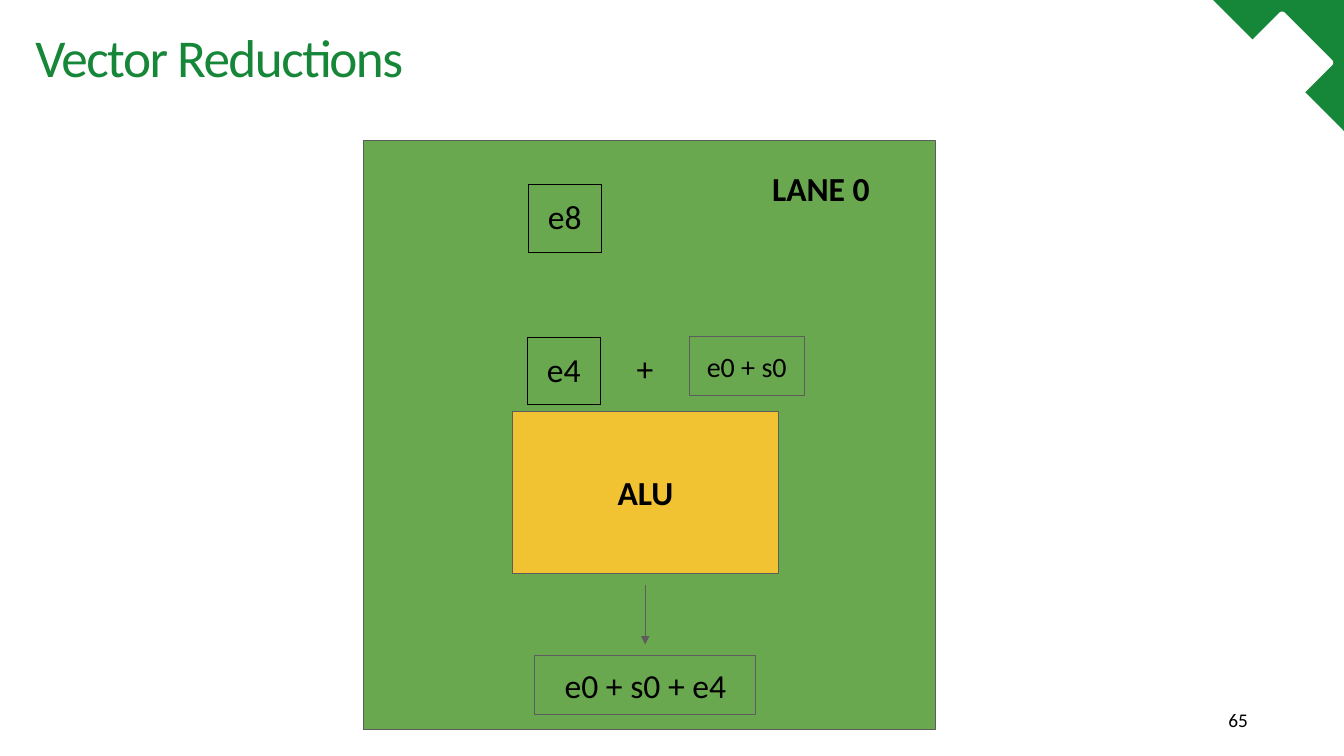
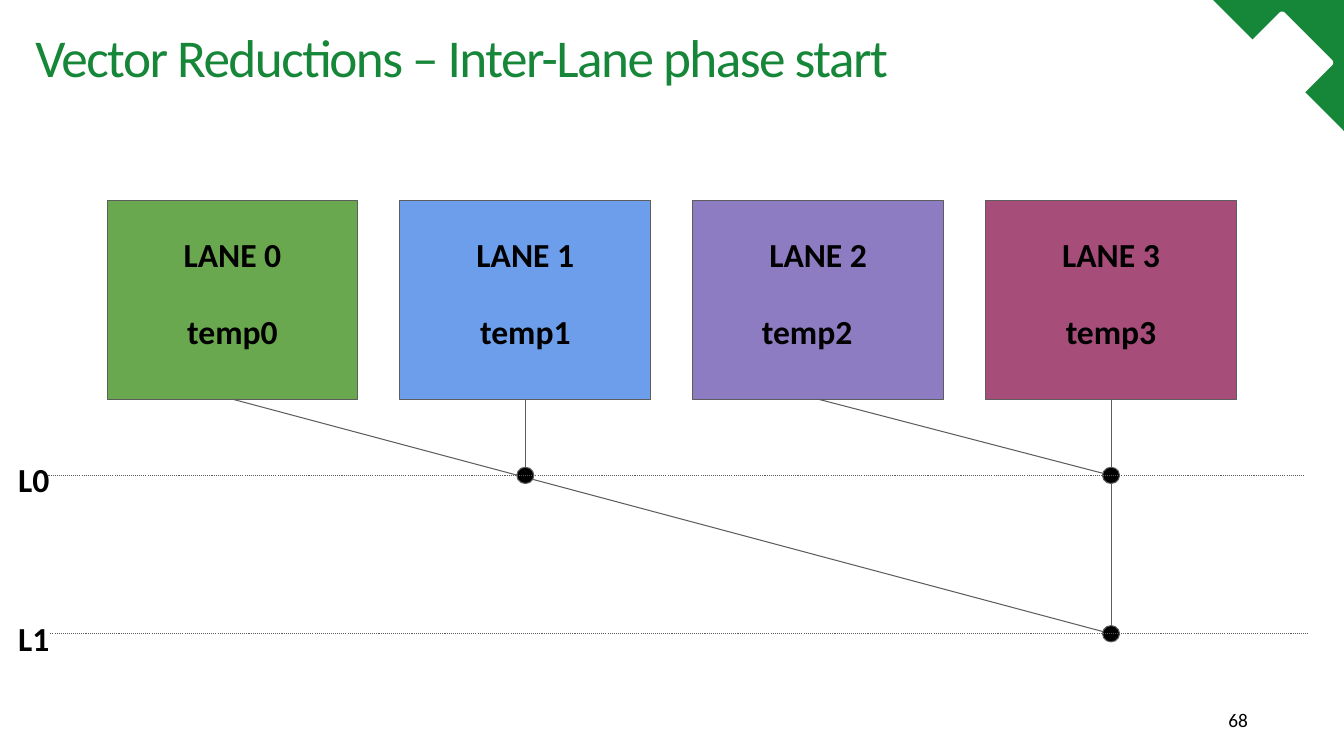
from lxml import etree
from pptx import Presentation
from pptx.dml.color import RGBColor
from pptx.enum.dml import MSO_LINE
from pptx.enum.shapes import MSO_CONNECTOR, MSO_SHAPE
from pptx.enum.text import MSO_ANCHOR, PP_ALIGN
from pptx.oxml import parse_xml
from pptx.oxml.ns import nsdecls, qn
from pptx.util import Cm, Pt

RECTANGLE = MSO_SHAPE.RECTANGLE
ROUNDED = MSO_SHAPE.ROUNDED_RECTANGLE
TRIANGLE = MSO_SHAPE.ISOSCELES_TRIANGLE
OVAL = MSO_SHAPE.OVAL
STRAIGHT = MSO_CONNECTOR.STRAIGHT
DOTTED = MSO_LINE.ROUND_DOT
TOP, MIDDLE = MSO_ANCHOR.TOP, MSO_ANCHOR.MIDDLE
LEFT, CENTER = PP_ALIGN.LEFT, PP_ALIGN.CENTER

FONT = "Calibri"
BRAND, WHITE, BLACK, GREY = "168638", "FFFFFF", "000000", "5D5D5D"
GREEN, BLUE, PURPLE, PLUM, YELLOW = "6AA84F", "6D9EEB", "8E7CC3", "A64D79", "F1C232"
LINE_WIDTH = Pt(0.75)
INSET = 0.33


def add_box(slide, left, top, width, height, text="", kind=None, fill=None, line=None,
            size=24, bold=False, color=BLACK, align=CENTER, anchor=MIDDLE, inset=INSET):
    """Add a preset shape, or a text box when no kind is given. Lengths in cm."""
    place = Cm(left), Cm(top), Cm(width), Cm(height)
    if kind is None:
        shape = slide.shapes.add_textbox(*place)
    else:
        shape = slide.shapes.add_shape(kind, *place)
        shape.shadow.inherit = False
    if fill:
        shape.fill.solid()
        shape.fill.fore_color.rgb = RGBColor.from_string(fill)
    else:
        shape.fill.background()
    if line:
        shape.line.color.rgb = RGBColor.from_string(line)
        shape.line.width = LINE_WIDTH
    else:
        shape.line.fill.background()
    if text:
        frame = shape.text_frame
        frame.text = text
        frame.word_wrap = True
        frame.vertical_anchor = anchor
        frame.margin_left = frame.margin_right = Cm(inset)
        frame.margin_top = frame.margin_bottom = Cm(inset)
        paragraph = frame.paragraphs[0]
        paragraph.alignment = align
        font = paragraph.runs[0].font
        font.name, font.size, font.bold = FONT, Pt(size), bold
        font.color.rgb = RGBColor.from_string(color)
    return shape


def add_line(slide, x1, y1, x2, y2):
    connector = slide.shapes.add_connector(STRAIGHT, Cm(x1), Cm(y1), Cm(x2), Cm(y2))
    connector.line.color.rgb = RGBColor.from_string(GREY)
    connector.line.width = LINE_WIDTH
    etree.SubElement(connector._element.spPr, qn("a:effectLst"))
    return connector


presentation = Presentation()
presentation.slide_width, presentation.slide_height = Cm(33.87), Cm(19.05)

# Shared parts: corner mark, title and slide number
slides = []
for title, number in (("Vector Reductions", "65"),
                      ("Vector Reductions – Inter-Lane phase start", "68")):
    slide = presentation.slides.add_slide(presentation.slide_layouts[6])
    slides.append(slide)
    corner = add_box(slide, 30.57, 0, 3.3, 3.3, kind=TRIANGLE, fill=BRAND)
    corner.adjustments[0] = 1
    corner.rotation = 270
    for left, top, side in ((30.78, 1.07, 1.04), (31.37, 0.64, 1.88)):
        notch = add_box(slide, left, top, side, side, kind=ROUNDED, fill=WHITE)
        notch.adjustments[0] = 0.05
        notch.rotation = 45
    title_box = add_box(slide, 0.89, 0.51, 29.64, 1.83, title, size=38, color=BRAND,
                        align=LEFT, inset=0)
    title_run = title_box.text_frame.paragraphs[0].runs[0]
    title_run.font._element.set("spc", "-110")
    add_box(slide, 30.71, 17.5, 0.99, 1.3, number, size=13.8, inset=0)

lane_slide, tree_slide = slides

# Slide 1: one lane with its ALU
add_box(lane_slide, 9.16, 3.54, 14.41, 14.85, kind=RECTANGLE, fill=GREEN, line=GREY)
for text, left, top, width, height, size, bold, fill in (
        ("ALU", 12.92, 10.36, 6.69, 4.1, 24, True, YELLOW),
        ("e0 + s0", 17.37, 8.48, 2.9, 1.5, 20, False, None),
        ("e0 + s0 + e4", 13.48, 16.51, 5.57, 1.5, 24, False, None)):
    add_box(lane_slide, left, top, width, height, text, RECTANGLE, fill, GREY, size, bold)
add_box(lane_slide, 15.14, 8.43, 2.23, 1.7, "+", anchor=TOP)
add_box(lane_slide, 15.14, 3.91, 11.1, 1.7, "LANE 0", bold=True, anchor=TOP)

# Vector elements as one-cell tables
for text, left, top in (("e8", 13.32, 4.66), ("e4", 13.29, 8.5)):
    table = lane_slide.shapes.add_table(1, 1, Cm(left), Cm(top), Cm(1.83), Cm(1.7)).table
    table.first_row = table.horz_banding = False
    cell = table.cell(0, 0)
    cell.text = text
    cell.margin_left = cell.margin_right = Cm(INSET)
    cell.margin_top = cell.margin_bottom = Cm(INSET)
    paragraph = cell.text_frame.paragraphs[0]
    paragraph.alignment = CENTER
    font = paragraph.runs[0].font
    font.name, font.size, font.bold = FONT, Pt(24), False
    font.color.rgb = RGBColor.from_string(BLACK)
    properties = cell._tc.get_or_add_tcPr()
    for edge in ("lnL", "lnR", "lnT", "lnB"):
        properties.append(parse_xml(
            f'<a:{edge} {nsdecls("a")} w="{LINE_WIDTH}"><a:solidFill>'
            f'<a:srgbClr val="{BLACK}"/></a:solidFill></a:{edge}>'))
    cell.fill.background()

# Result arrow
arrow = add_line(lane_slide, 16.26, 14.74, 16.26, 16.24)
etree.SubElement(arrow.line._get_or_add_ln(), qn("a:tailEnd"), type="triangle")

# Slide 2: four lanes
LANE_LEFT, LANE_TOP, LANE_WIDTH, LANE_HEIGHT, LANE_PITCH = 2.7, 5.06, 6.32, 5, 7.38
lanes, centers = [], []
for index, color in enumerate((GREEN, BLUE, PURPLE, PLUM)):
    left = LANE_LEFT + index * LANE_PITCH
    lanes.append(add_box(tree_slide, left, LANE_TOP, LANE_WIDTH, LANE_HEIGHT,
                         kind=RECTANGLE, fill=color, line=GREY))
    centers.append(left + LANE_WIDTH / 2)
    add_box(tree_slide, left, 5.56, LANE_WIDTH, 1.7, f"LANE {index}", bold=True, anchor=TOP)
    shift = -0.28 if index == 2 else 0
    add_box(tree_slide, left + shift, 7.5, LANE_WIDTH, 1.7, f"temp{index}", bold=True,
            anchor=TOP)

# Reduction tree: each lane runs down to a node
LEVELS = (11.98, 15.97)
for lane, node_lane, level in ((0, 3, 1), (3, 3, 1), (1, 1, 0), (2, 3, 0)):
    branch = add_line(tree_slide, centers[lane], LANE_TOP + LANE_HEIGHT,
                      centers[node_lane], LEVELS[level])
    branch.begin_connect(lanes[lane], 2)
NODE_WIDTH, NODE_HEIGHT = 0.43, 0.41
for lane, level in ((1, 0), (3, 0), (3, 1)):
    add_box(tree_slide, centers[lane] - NODE_WIDTH / 2, LEVELS[level] - NODE_HEIGHT / 2,
            NODE_WIDTH, NODE_HEIGHT, kind=OVAL, fill=BLACK, line=GREY)

# Level lines and labels
for index, level in enumerate(LEVELS):
    start = 1.17 + 0.1 * index
    level_line = add_line(tree_slide, start, level, start + 31.7, level)
    level_line.line.dash_style = DOTTED
    add_box(tree_slide, 0.13, level - 0.74, 27.18, 1.7, f"L{index}", bold=True,
            align=LEFT, anchor=TOP)

presentation.save("out.pptx")
